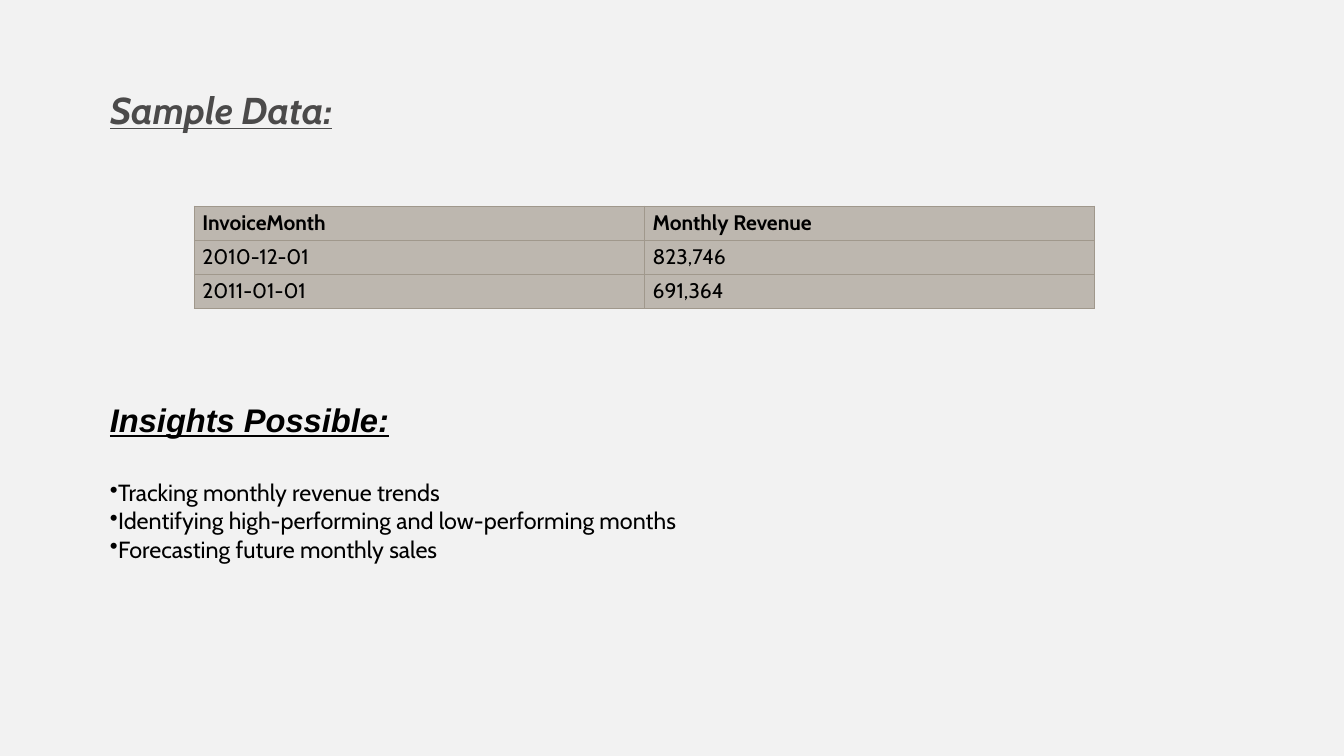
from lxml.etree import SubElement
from pptx import Presentation
from pptx.dml.color import RGBColor
from pptx.enum.text import MSO_ANCHOR, MSO_AUTO_SIZE, PP_ALIGN
from pptx.oxml.ns import qn
from pptx.util import Inches, Pt

PAPER = RGBColor(0xF2, 0xF2, 0xF2)
BLACK = RGBColor(0, 0, 0)
GREY = RGBColor(0x4B, 0x4A, 0x4A)
STONE = RGBColor(0xBD, 0xB7, 0xAF)
EDGE = RGBColor(0xA0, 0x98, 0x8C)

HEAD = {"bold": True, "italic": True, "underline": True}
TITLE = {"name": "Cabin", "size": Pt(32), **HEAD}
SUBHEAD = {"name": "Arial", "size": Pt(28), **HEAD}
BODY = {"name": "Cabin", "size": Pt(20)}
CELL = {"name": "Cabin", "size": Pt(18)}

ROWS = [
    ("InvoiceMonth", "Monthly Revenue"),
    ("2010-12-01", "823,746"),
    ("2011-01-01", "691,364"),
]
INSIGHTS = [
    "Tracking monthly revenue trends",
    "Identifying high-performing and low-performing months",
    "Forecasting future monthly sales",
]


def style(font, form, color):
    for key, value in form.items():
        setattr(font, key, value)
    font.color.rgb = color


def set_title(slide, text):
    title = slide.shapes.title
    title.left, title.top = Inches(1.21), Inches(1.26)
    title.width, title.height = Inches(8), Inches(0.4)
    frame = title.text_frame
    frame.text = text
    frame.auto_size = MSO_AUTO_SIZE.NONE
    frame.vertical_anchor = MSO_ANCHOR.TOP
    para = frame.paragraphs[0]
    para.alignment = PP_ALIGN.LEFT
    para.line_spacing = Pt(19)
    style(para.font, TITLE, GREY)


def add_edges(cell):
    props = cell._tc.get_or_add_tcPr()
    for side in ("lnL", "lnR", "lnT", "lnB"):
        line = SubElement(props, qn(f"a:{side}"), w=str(Pt(0.5)))
        fill = SubElement(line, qn("a:solidFill"))
        SubElement(fill, qn("a:srgbClr"), val=str(EDGE))


def add_grid(slide, rows):
    high = Inches(0.4)
    table = slide.shapes.add_table(
        len(rows), len(rows[0]), Inches(2.31), Inches(2.45),
        Inches(10.72), high * len(rows)).table
    table.horz_banding = False
    for r, row in enumerate(rows):
        table.rows[r].height = high
        for c, text in enumerate(row):
            cell = table.cell(r, c)
            cell.text = text
            cell.vertical_anchor = MSO_ANCHOR.MIDDLE
            add_edges(cell)
            cell.fill.solid()
            cell.fill.fore_color.rgb = STONE
            form = {**CELL, "bold": r == 0}
            style(cell.text_frame.paragraphs[0].runs[0].font, form, BLACK)


def add_bullet(para):
    props = para._p.get_or_add_pPr()
    props.set("marL", "0")
    props.set("indent", "0")
    SubElement(props, qn("a:buChar"), char="•")


def add_list(slide, head, items):
    box = slide.shapes.add_textbox(
        Inches(1.21), Inches(4.71), Inches(8), Inches(2.05))
    frame = box.text_frame
    frame.word_wrap = True
    para = frame.paragraphs[0]
    para.text = head
    style(para.font, SUBHEAD, BLACK)
    for i, item in enumerate(items):
        para = frame.add_paragraph()
        para.text = item
        add_bullet(para)
        para.space_before = Pt(0 if i else 34)
        style(para.font, BODY, BLACK)


def main():
    deck = Presentation()
    deck.slide_width, deck.slide_height = Inches(16), Inches(9)
    slide = deck.slides.add_slide(deck.slide_layouts[5])
    slide.background.fill.solid()
    slide.background.fill.fore_color.rgb = PAPER
    set_title(slide, "Sample Data:")
    add_grid(slide, ROWS)
    add_list(slide, "Insights Possible:", INSIGHTS)
    deck.save("out.pptx")


if __name__ == "__main__":
    main()
